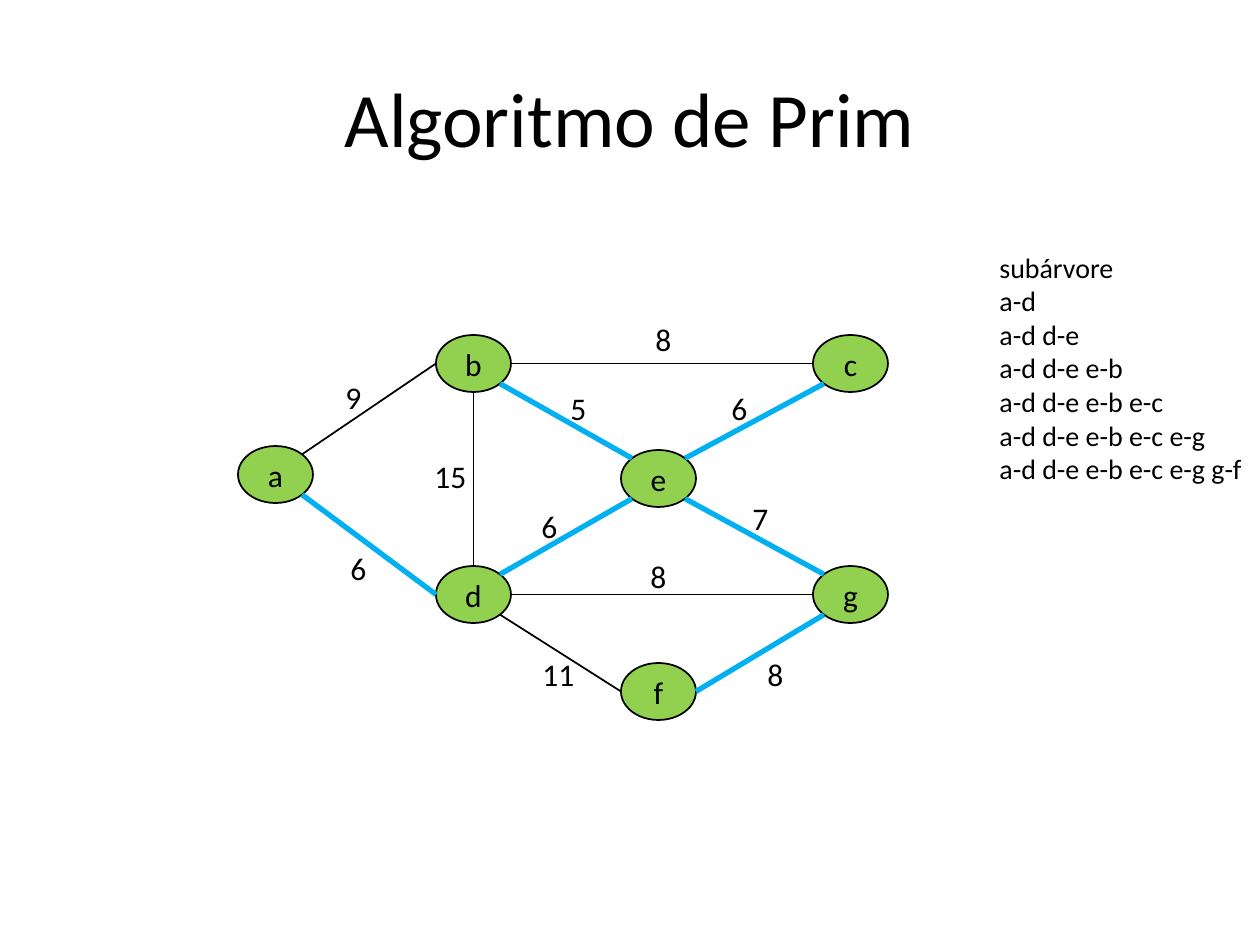
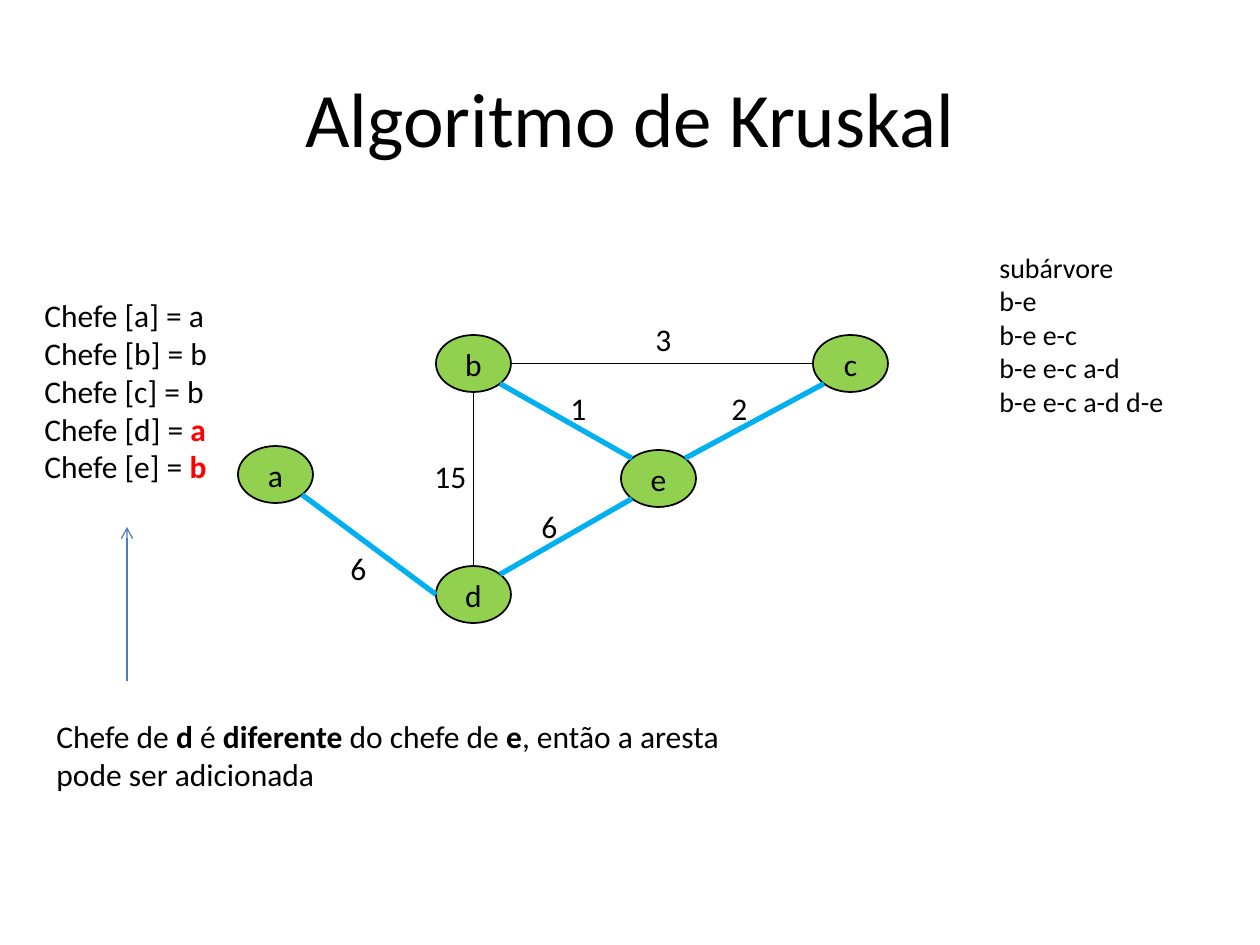
from math import sqrt

from lxml import etree
from pptx import Presentation
from pptx import util as u
from pptx.dml.color import RGBColor
from pptx.enum import shapes, text
from pptx.oxml.ns import qn

PX = 914400 / 126
BLACK = RGBColor(0, 0, 0)
RED = RGBColor(0xFF, 0, 0)
GREEN = RGBColor(0x92, 0xD0, 0x50)
TREE_BLUE = RGBColor(0x00, 0xB0, 0xF0)
ARROW_BLUE = RGBColor(0x4B, 0x7E, 0xBC)
FONT = "Calibri"
BOLD = {"bold": True}
CHIEF_CHANGE = {"bold": True, "color": RED}

# Left and top of each vertex
VERTEX_SIZE = (75, 57)
VERTICES = {
    "a": (238, 446), "f": (621, 663), "b": (436, 335), "d": (436, 566),
    "e": (621, 450), "g": (813, 566), "c": (813, 335),
}

# Each edge: side it leaves, side it reaches, left and top of its weight
EDGES = {
    "a-d": ("se", "w", 338, 543),
    "d-f": ("se", "w", 530, 649),
    "e-b": ("nw", "se", 558, 383),
    "a-b": ("ne", "w", 333, 372),
    "d-b": ("n", "s", 422, 451),
    "d-e": ("ne", "sw", 529, 501),
    "e-c": ("ne", "sw", 719, 383),
    "b-c": ("e", "w", 643, 314),
    "e-g": ("se", "nw", 740, 493),
    "d-g": ("e", "w", 638, 551),
    "g-f": ("sw", "e", 755, 649),
}
COMPASS = {"n": (0, -1), "s": (0, 1), "w": (-1, 0), "e": (1, 0)}

PRIM = {
    "title": "Algoritmo de Prim",
    "vertices": "abcdefg",
    "weights": {"a-d": 6, "d-f": 11, "e-b": 5, "a-b": 9, "d-b": 15, "d-e": 6,
                "e-c": 6, "b-c": 8, "e-g": 7, "d-g": 8, "g-f": 8},
    "tree": ["a-d", "d-e", "e-b", "e-c", "e-g", "g-f"],
    "subtrees": ["a-d", "a-d d-e", "a-d d-e e-b", "a-d d-e e-b e-c",
                 "a-d d-e e-b e-c e-g", "a-d d-e e-b e-c e-g g-f"],
    "subtree_box": (987, 244, 273, 285),
}
KRUSKAL = {
    "title": "Algoritmo de Kruskal",
    "vertices": "abcde",
    "weights": {"a-d": 6, "e-b": 1, "d-b": 15, "d-e": 6, "e-c": 2, "b-c": 3},
    "tree": ["e-b", "e-c", "a-d", "d-e"],
    "subtrees": ["b-e", "b-e e-c", "b-e e-c a-d", "b-e e-c a-d d-e"],
    "subtree_box": (987, 244, 208, 183),
}
CHIEFS = [
    "Chefe [a] = a",
    "Chefe [b] = b",
    "Chefe [c] = b",
    [("Chefe [d] = ", {}), ("a", CHIEF_CHANGE)],
    [("Chefe [e] = ", {}), ("b", CHIEF_CHANGE)],
]
EXPLANATION = [[
    ("Chefe de ", {}), ("d", BOLD), (" é ", {}), ("diferente", BOLD),
    (" do chefe de ", {}), ("e", BOLD),
    (", então a aresta pode ser adicionada", {}),
]]


def px(*lengths):
    return [u.Emu(round(length * PX)) for length in lengths]


def write(frame, paragraphs, size=18, align=text.PP_ALIGN.LEFT,
          anchor=text.MSO_ANCHOR.TOP, wrap=True, grow=False):
    """Fill a text frame; a paragraph is a string or a list of (text, format)."""
    frame.word_wrap = wrap
    frame.vertical_anchor = anchor
    if grow:
        frame.auto_size = text.MSO_AUTO_SIZE.SHAPE_TO_FIT_TEXT
    for index, content in enumerate(paragraphs):
        paragraph = frame.add_paragraph() if index else frame.paragraphs[0]
        paragraph.alignment = align
        runs = [(content, {})] if isinstance(content, str) else content
        for words, style in runs:
            run = paragraph.add_run()
            run.text = words
            run.font.name = FONT
            run.font.size = u.Pt(size)
            run.font.bold = style.get("bold", False)
            run.font.color.rgb = style.get("color", BLACK)


def add_text(slide, box, paragraphs, **style):
    write(slide.shapes.add_textbox(*px(*box)).text_frame, paragraphs, **style)


def add_line(slide, start, end, color, width):
    line = slide.shapes.add_connector(shapes.MSO_CONNECTOR.STRAIGHT,
                                      *px(*start, *end))
    line.line.color.rgb = color
    line.line.width = u.Pt(width)
    etree.SubElement(line._element.spPr, qn("a:effectLst"))
    return line


def add_vertex(slide, name):
    vertex = slide.shapes.add_shape(shapes.MSO_SHAPE.OVAL,
                                    *px(*VERTICES[name], *VERTEX_SIZE))
    vertex.shadow.inherit = False
    vertex.fill.solid()
    vertex.fill.fore_color.rgb = GREEN
    vertex.line.color.rgb = BLACK
    vertex.line.width = u.Pt(1)
    write(vertex.text_frame, [name], align=text.PP_ALIGN.CENTER,
          anchor=text.MSO_ANCHOR.MIDDLE)


def rim_point(name, side):
    """Point on a vertex's outline in a compass direction."""
    reach = 0.5 / sqrt(len(side))
    steps = [sum(COMPASS[letter][axis] for letter in side) for axis in (0, 1)]
    return [corner + length * (0.5 + reach * step)
            for corner, length, step in zip(VERTICES[name], VERTEX_SIZE, steps)]


def add_graph_slide(presentation, graph):
    slide = presentation.slides.add_slide(presentation.slide_layouts[6])
    add_text(slide, (63, 38, 1134, 157), [graph["title"]], size=44,
             align=text.PP_ALIGN.CENTER, anchor=text.MSO_ANCHOR.MIDDLE)
    for name in graph["vertices"]:
        add_vertex(slide, name)
    for edge in graph["weights"]:
        first, second = edge.split("-")
        leaving, reaching = EDGES[edge][:2]
        color, width = (TREE_BLUE, 3) if edge in graph["tree"] else (BLACK, 1)
        add_line(slide, rim_point(first, leaving), rim_point(second, reaching),
                 color, width)
    for edge, weight in graph["weights"].items():
        label = str(weight)
        box = (*EDGES[edge][2:], 26 + 16 * len(label), 51)
        add_text(slide, box, [label], wrap=False, grow=True)
    add_text(slide, graph["subtree_box"], ["subárvore"] + graph["subtrees"],
             size=16, grow=True)
    return slide


def add_chief_notes(slide):
    add_text(slide, (32, 290, 190, 204), CHIEFS, wrap=False, grow=True)
    arrow = add_line(slide, (127, 681), (127, 527), ARROW_BLUE, 0.75)
    etree.SubElement(arrow.line._get_or_add_ln(), qn("a:tailEnd"), type="arrow")
    add_text(slide, (44, 711, 748, 89), EXPLANATION, grow=True)


def main():
    presentation = Presentation()
    presentation.slide_width, presentation.slide_height = px(1260, 945)
    add_graph_slide(presentation, PRIM)
    add_chief_notes(add_graph_slide(presentation, KRUSKAL))
    presentation.save("out.pptx")


if __name__ == "__main__":
    main()
